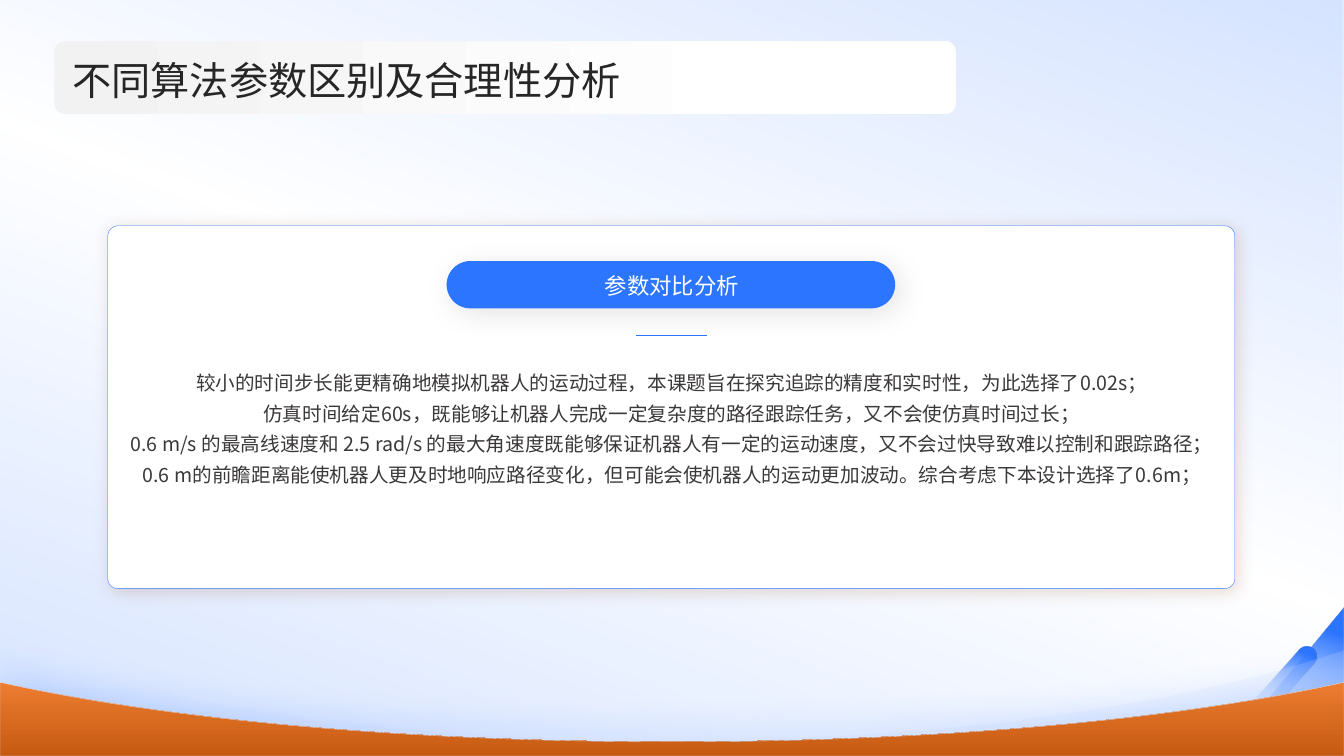
"""Build a slide explaining the parameter choices of path-tracking algorithms."""
from lxml import etree
from pptx import Presentation
from pptx import util as u
from pptx.dml.color import RGBColor
from pptx.enum import shapes, text
from pptx.oxml.ns import qn


class Theme:
    font = "Noto Sans CJK SC"
    blue, pale, white, grey = "2C75FF", "D5E3FF", "FFFFFF", "F2F2F2"
    orange, rust, brown, black = "ED7D31", "C55A11", "843C0B", "000000"
    title_ink, body_ink = "262626", "3B3838"
    title_size, label_size, body_size = 28, 16, 14


def style(shape, stops, angle=0, line=None, shadow=None):
    """Fill with (position, colour, opacity) stops; one stop gives a solid fill."""
    shape.fill.background()
    blank = shape._element.spPr.find(qn("a:noFill"))
    fill = etree.Element(qn("a:gradFill" if len(stops) > 1 else "a:solidFill"))
    blank.getparent().replace(blank, fill)
    colours = etree.SubElement(fill, qn("a:gsLst")) if len(stops) > 1 else fill
    for position, colour, opacity in stops:
        parent = colours
        if len(stops) > 1:
            parent = etree.SubElement(colours, qn("a:gs"), pos=str(position * 1000))
        tint = etree.SubElement(parent, qn("a:srgbClr"), val=colour)
        etree.SubElement(tint, qn("a:alpha"), val=str(opacity * 1000))
    if len(stops) > 1:
        etree.SubElement(fill, qn("a:lin"), ang=str(angle * 60000), scaled="0")
    shape.line.fill.background()
    if line:
        shape.line.color.rgb = RGBColor.from_string(line)
        shape.line.width = u.Pt(0.25)
    shape.shadow.inherit = False
    if shadow:
        colour, opacity, blur, distance, direction = shadow
        effects = shape._element.spPr.find(qn("a:effectLst"))
        outer = etree.SubElement(
            effects, qn("a:outerShdw"), blurRad=str(u.Pt(blur)), dist=str(u.Pt(distance)),
            dir=str(direction * 60000), algn="ctr", rotWithShape="0")
        tint = etree.SubElement(outer, qn("a:srgbClr"), val=colour)
        etree.SubElement(tint, qn("a:alpha"), val=str(opacity * 1000))


def outline(start, steps):
    """Draw a closed outline; six-number steps are cubic curves."""
    points, last = [], start
    for step in steps:
        if len(step) == 2:
            points.append(step)
        else:
            controls = (last, step[:2], step[2:4], step[4:])
            for t in (i / 24 for i in range(1, 25)):
                weights = ((1 - t) ** 3, 3 * t * (1 - t) ** 2, 3 * t * t * (1 - t), t ** 3)
                points.append(tuple(
                    sum(w * point[axis] for w, point in zip(weights, controls))
                    for axis in (0, 1)))
        last = step[-2:]
    builder = slide.shapes.build_freeform(u.Pt(start[0]), u.Pt(start[1]), scale=1.0)
    builder.add_line_segments([(u.Pt(x), u.Pt(y)) for x, y in points], close=True)
    return builder.convert_to_shape()


deck = Presentation()
deck.slide_width, deck.slide_height = u.Pt(960), u.Pt(540)
slide = deck.slides.add_slide(deck.slide_layouts[5])
kinds = shapes.MSO_SHAPE

backdrop = slide.shapes.add_shape(kinds.RECTANGLE, 0, 0, u.Pt(960), u.Pt(540))
style(backdrop, [(0, Theme.pale, 100), (51, Theme.white, 97), (100, Theme.pale, 100)], 290)

fade = [(0, Theme.white, 0), (85, Theme.blue, 100)]
peak = slide.shapes.add_shape(
    kinds.RIGHT_TRIANGLE, u.Pt(872.8), u.Pt(434.2), u.Pt(87.2), u.Pt(105.8))
peak._element.spPr.find(qn("a:xfrm")).set("flipH", "1")
style(peak, fade, 250)
ray = slide.shapes.add_shape(
    kinds.ROUNDED_RECTANGLE, u.Pt(909.4), u.Pt(455.8), u.Pt(14.4), u.Pt(63.4))
ray.adjustments[0] = 0.5
ray.rotation = 41.8
style(ray, fade, 250)

hills = [
    (464.4, 465.1, 504.7, 529.2, [(0, Theme.pale, 18)], None, None),
    (487.4, 487.7, 514.1, 529.9, [(0, Theme.orange, 100), (100, Theme.rust, 100)],
     Theme.pale, (Theme.blue, 26, 29, 3, 270)),
]
for top, shoulder, bend, bottom, stops, line, shadow in hills:
    hill = outline((0, top), [
        (1.4, shoulder),
        (119.5, bend, 290.2, bottom, 480, bottom),
        (669.8, bottom, 840.5, bend, 958.6, shoulder),
        (960, top), (960, 540), (0, 540)])
    style(hill, stops, 90, line, shadow)

panels = [
    (77, 161.3, 805, 259.2, 0.028, [(0, Theme.white, 100)], Theme.blue,
     (Theme.brown, 19, 12, 3, 45)),
    (319, 186.5, 320.4, 33.8, 0.5, [(0, Theme.blue, 100)], None,
     (Theme.black, 10, 20, 5, 45)),
    (38.9, 29.5, 643.7, 51.8, 0.139, [(0, Theme.grey, 100), (80, Theme.white, 100)],
     None, None),
]
for left, top, width, height, rounding, stops, line, shadow in panels:
    panel = slide.shapes.add_shape(
        kinds.ROUNDED_RECTANGLE, u.Pt(left), u.Pt(top), u.Pt(width), u.Pt(height))
    panel.adjustments[0] = rounding
    style(panel, stops, 0, line, shadow)

divider = slide.shapes.add_connector(
    shapes.MSO_CONNECTOR.STRAIGHT, u.Pt(454.3), u.Pt(239.8), u.Pt(504.7), u.Pt(239.8))
divider.line.color.rgb = RGBColor.from_string(Theme.blue)
divider.line.width = u.Pt(0.5)
etree.SubElement(divider._element.spPr, qn("a:effectLst"))

title = slide.shapes.title
slide.shapes._spTree.append(title._element)
label = slide.shapes.add_textbox(0, 0, 0, 0)
body = slide.shapes.add_textbox(0, 0, 0, 0)
left_side, centre = text.PP_ALIGN.LEFT, text.PP_ALIGN.CENTER
top_anchor, middle = text.MSO_ANCHOR.TOP, text.MSO_ANCHOR.MIDDLE
passages = [
    (title, (51.8, 36.7, 840.2, 36.7), middle, left_side, 1.1,
     Theme.title_size, Theme.title_ink, ["不同算法参数区别及合理性分析"]),
    (label, (85, 186.5, 789.8, 33.8), middle, centre, 1.1,
     Theme.label_size, Theme.white, ["参数对比分析"]),
    (body, (85, 259.9, 789.8, 134.6), top_anchor, centre, 1.3,
     Theme.body_size, Theme.body_ink, [
         "较小的时间步长能更精确地模拟机器人的运动过程，本课题旨在探究追踪的精度和实时性，为此选择了0.02s；",
         "仿真时间给定60s，既能够让机器人完成一定复杂度的路径跟踪任务，又不会使仿真时间过长；",
         "0.6 m/s 的最高线速度和 2.5 rad/s 的最大角速度既能够保证机器人有一定的运动速度，又不会过快导致难以控制和跟踪路径；",
         "0.6 m的前瞻距离能使机器人更及时地响应路径变化，但可能会使机器人的运动更加波动。综合考虑下本设计选择了0.6m；",
     ]),
]
for box, place, anchor, align, spacing, size, colour, lines in passages:
    box.left, box.top, box.width, box.height = (u.Pt(value) for value in place)
    frame = box.text_frame
    frame.word_wrap = True
    frame.auto_size = text.MSO_AUTO_SIZE.NONE
    frame.vertical_anchor = anchor
    frame.margin_left = frame.margin_right = frame.margin_top = frame.margin_bottom = 0
    for index, words in enumerate(lines):
        para = frame.add_paragraph() if index else frame.paragraphs[0]
        para.alignment = align
        para.line_spacing = spacing
        para.space_before = u.Pt(0)
        span = para.add_run()
        span.text = words
        span.font.size = u.Pt(size)
        span.font.name = Theme.font
        span.font.color.rgb = RGBColor.from_string(colour)
        etree.SubElement(span._r.rPr, qn("a:ea"), typeface=Theme.font)

deck.save("out.pptx")
